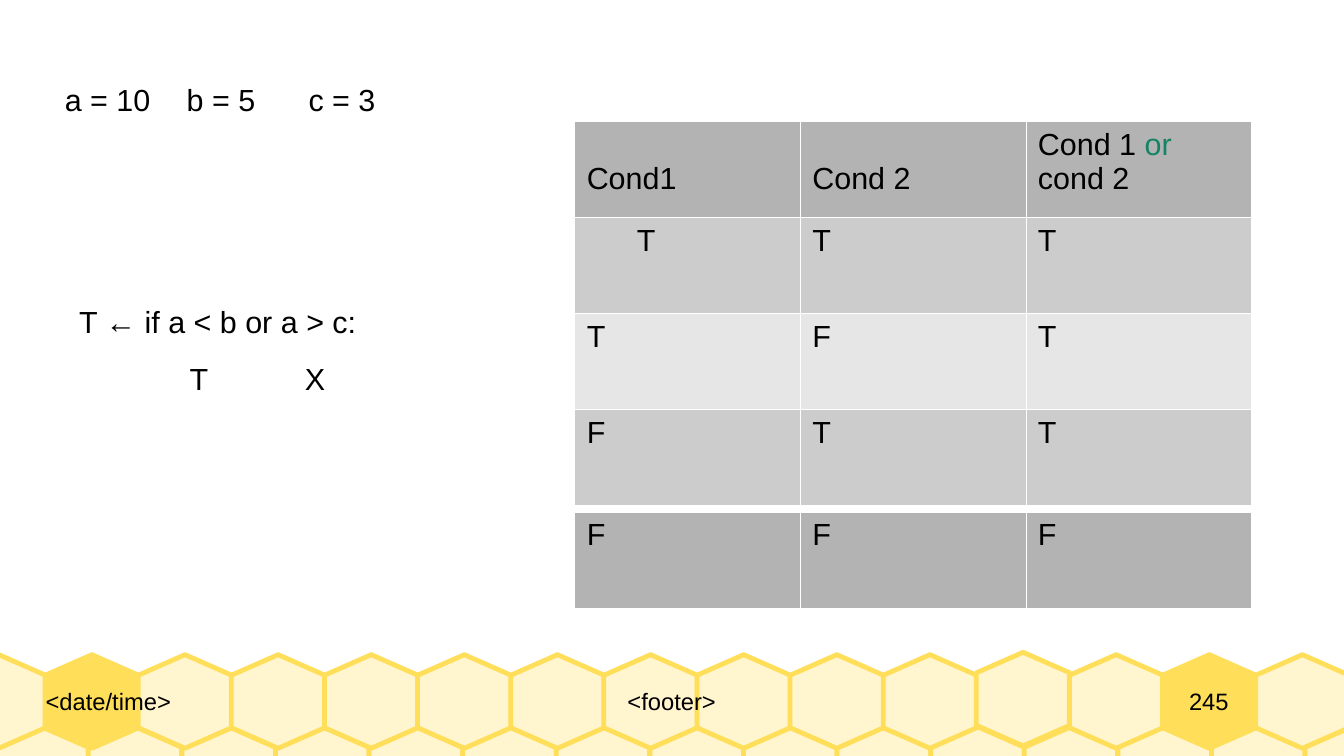
from dataclasses import dataclass

from lxml.etree import SubElement
from pptx import Presentation
from pptx.dml.color import RGBColor as RGB
from pptx.enum.text import MSO_ANCHOR as Anchor, MSO_AUTO_SIZE as Fit, PP_ALIGN as Align
from pptx.oxml.ns import qn
from pptx.util import Cm, Pt


@dataclass(frozen=True)
class Theme:
    font: str = "Arial"
    body: int = 18
    small: int = 14
    ink: RGB = RGB(0x00, 0x00, 0x00)
    green: RGB = RGB(0x15, 0x84, 0x66)
    gold: RGB = RGB(0xFF, 0xDE, 0x59)
    cream: RGB = RGB(0xFF, 0xF5, 0xCE)
    dark: RGB = RGB(0xB3, 0xB3, 0xB3)
    mid: RGB = RGB(0xCC, 0xCC, 0xCC)
    light: RGB = RGB(0xE6, 0xE6, 0xE6)
    rule: str = "FFFFFF"


THEME = Theme()
HEX = 1.95  # width and height of a comb cell, cm


def add_run(para, text, size=THEME.body, color=THEME.ink):
    run = para.add_run()
    run.text = text
    run.font.name = THEME.font
    run.font.size = Pt(size)
    run.font.color.rgb = color


def add_label(slide, box, text, tabs=()):
    """A one-line text, with optional tab stops in cm."""
    shape = slide.shapes.add_textbox(*map(Cm, box))
    frame = shape.text_frame
    frame.word_wrap = False
    frame.auto_size = Fit.SHAPE_TO_FIT_TEXT
    para = frame.paragraphs[0]
    if tabs:
        stops = SubElement(para._p.get_or_add_pPr(), qn("a:tabLst"))
        for stop in tabs:
            SubElement(stops, qn("a:tab"), pos=str(Cm(stop)), algn="l")
    add_run(para, text)


def add_hex(slide, left, top, fill):
    points = [(0.5, 0), (0, 0.22), (0, 0.78), (0.5, 1), (1, 0.78), (1, 0.22)]
    spots = [(Cm(left + x * HEX), Cm(top + y * HEX)) for x, y in points]
    path = slide.shapes.build_freeform(*spots[0])
    path.add_line_segments(spots[1:], close=True)
    shape = path.convert_to_shape()
    shape.shadow.inherit = False
    shape.fill.solid()
    shape.fill.fore_color.rgb = fill
    shape.line.color.rgb = THEME.gold
    shape.line.width = Pt(2.83)


def add_comb(slide, left, top):
    """Two offset rows of hexagons along the foot of the slide."""
    for i in range(15):
        add_hex(slide, left + 0.89 + i * 1.95, top + 1.5, THEME.cream)
    for i in range(15):
        lift = 0.05 if i == 11 else 0
        fill = THEME.gold if i in (1, 13) else THEME.cream
        add_hex(slide, left + i * 1.94, top - lift, fill)


def add_footer(slide, top):
    parts = [
        (0.95, 6.68, "<date/time>", Align.LEFT),
        (7.63, 12.73, "<footer>", Align.CENTER),
        (23.6, 3.17, "245", Align.CENTER),
    ]
    for left, width, text, align in parts:
        shape = slide.shapes.add_textbox(Cm(left), Cm(top), Cm(width), Cm(HEX))
        frame = shape.text_frame
        frame.word_wrap = True
        frame.vertical_anchor = Anchor.MIDDLE
        frame.margin_left = frame.margin_right = 0
        frame.margin_top = frame.margin_bottom = 0
        para = frame.paragraphs[0]
        para.alignment = align
        add_run(para, text, THEME.small)


def fill_cell(cell, text, fill):
    props = cell._tc.get_or_add_tcPr()
    for side in ("lnL", "lnR", "lnT", "lnB"):
        line = SubElement(props, qn("a:" + side), w=str(Pt(0.06)))
        solid = SubElement(line, qn("a:solidFill"))
        SubElement(solid, qn("a:srgbClr"), val=THEME.rule)
    cell.fill.solid()
    cell.fill.fore_color.rgb = fill
    para = cell.text_frame.paragraphs[0]
    for part in text.partition(" or"):
        if part:
            add_run(para, part, color=THEME.green if part == " or" else THEME.ink)


def add_grid(slide, box, rows, fills):
    """A truth table with one fill per row."""
    shape = slide.shapes.add_table(len(rows), len(rows[0]), *map(Cm, box))
    table = shape.table
    table.first_row = table.horz_banding = False
    for r, (row, fill) in enumerate(zip(rows, fills)):
        for c, text in enumerate(row):
            fill_cell(table.cell(r, c), text, fill)
    return table


def add_truth(slide, left, top):
    width, high = 14.1, 2.0
    rows = [("Cond1", "Cond 2", "Cond 1 or cond 2"), "TTT", "TFT", "FTT"]
    fills = [THEME.dark, THEME.mid, THEME.light, THEME.mid]
    table = add_grid(slide, (left, top, width, 4 * high), rows, fills)
    # Short headings sit on the second line; the first T is set in
    for c in (0, 1):
        table.cell(0, c).margin_top = Cm(0.84)
    table.cell(1, 0).margin_left = Cm(1.3)
    # The last case stands apart
    add_grid(slide, (left, top + 4 * high + 0.13, width, high), ["FFF"], [THEME.dark])


def add_code(slide, left, top):
    add_label(slide, (left, top, 6.98, 0.97), "a = 10\tb = 5\tc = 3", (2.54, 5.08))
    add_label(slide, (left + 0.3, top + 4.62, 6.3, 0.97), "T ← if a < b or a > c:")
    for shift, mark in ((2.6, "T"), (5.0, "X")):
        add_label(slide, (left + shift, top + 5.8, 0.9, 0.97), mark)


def main():
    deck = Presentation()
    deck.slide_width, deck.slide_height = Cm(28), Cm(15.75)
    slide = deck.slides.add_slide(deck.slide_layouts[6])
    add_comb(slide, -1, 13.64)
    add_footer(slide, 13.64)
    add_code(slide, 1.1, 1.57)
    add_truth(slide, 11.97, 2.53)
    deck.save("out.pptx")


if __name__ == "__main__":
    main()
